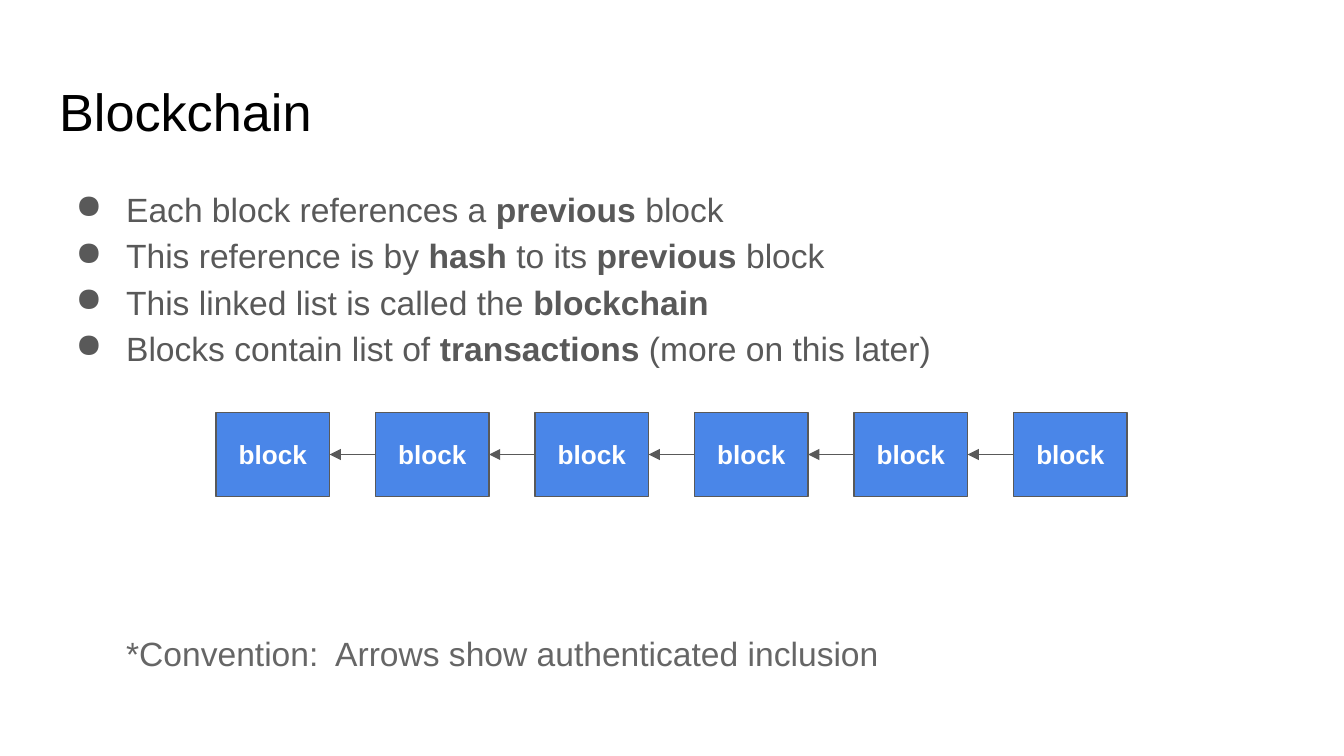
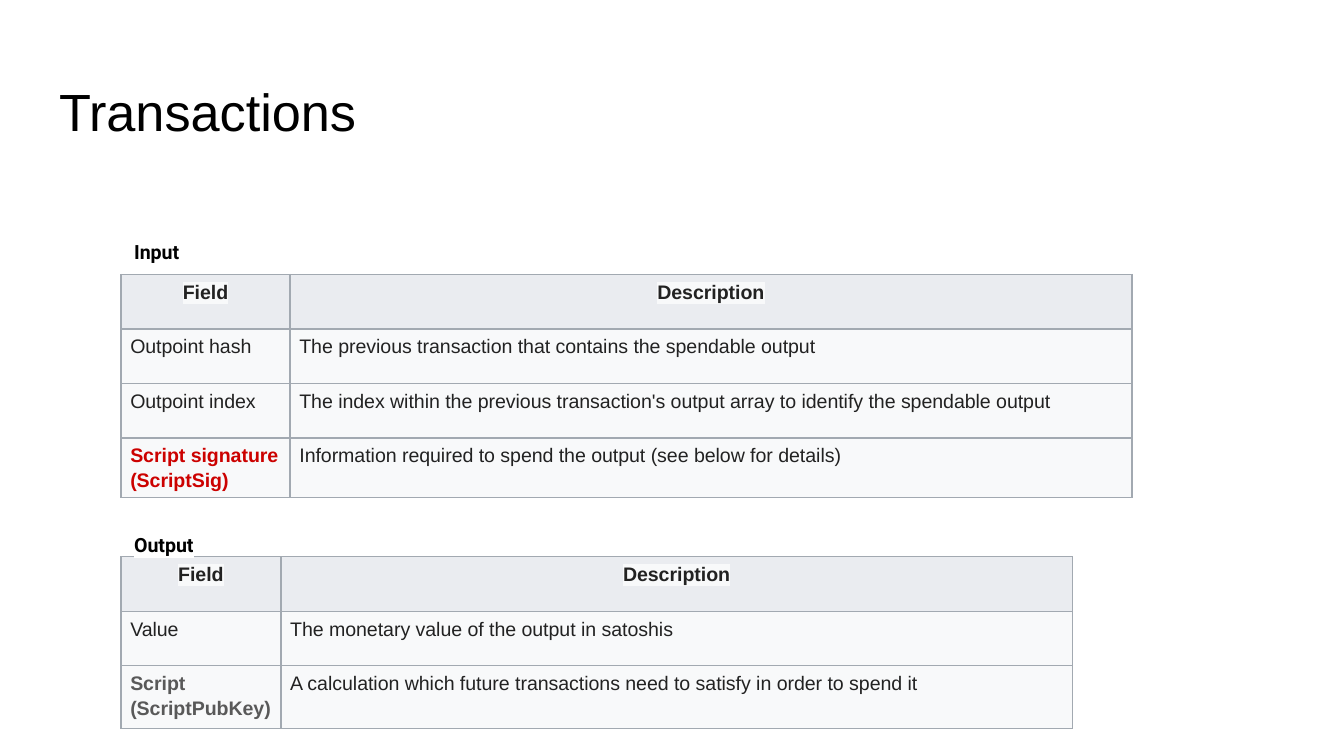
from itertools import pairwise

from pptx import Presentation
from pptx.dml.color import RGBColor
from pptx.enum.shapes import MSO_CONNECTOR, MSO_SHAPE
from pptx.enum.text import MSO_ANCHOR, MSO_AUTO_SIZE, PP_ALIGN
from pptx.oxml.ns import qn
from pptx.util import Pt
from lxml.etree import SubElement

BLACK = RGBColor(0x00, 0x00, 0x00)
WHITE = RGBColor(0xFF, 0xFF, 0xFF)
GRAY = RGBColor(0x59, 0x59, 0x59)
NOTE_GRAY = RGBColor(0x66, 0x66, 0x66)
BLOCK_BLUE = RGBColor(0x4A, 0x86, 0xE8)
CELL_TEXT = RGBColor(0x22, 0x22, 0x22)
CELL_FILL = RGBColor(0xF8, 0xF9, 0xFA)
HEADER_FILL = RGBColor(0xEA, 0xEC, 0xF0)
BORDER = RGBColor(0xA2, 0xA9, 0xB1)
RED = RGBColor(0xCC, 0x01, 0x00)

BODY_FONT = "Arial"
LABEL_FONT = "Roboto"
TEXT_LEFT, TEXT_WIDTH = 24.5, 671
TABLE_LEFT = 64.8
ROW_HEIGHT = 29.2
BLOCK_COUNT, BLOCK_LEFT, BLOCK_TOP = 6, 115.8, 221
BLOCK_WIDTH, BLOCK_HEIGHT, BLOCK_PITCH = 60.8, 45, 85.45

BULLETS = [
    "Each block references a **previous** block",
    "This reference is by **hash** to its **previous** block",
    "This linked list is called the **blockchain**",
    "Blocks contain list of **transactions** (more on this later)",
]
INPUT_ROWS = [
    ("Field", "Description"),
    ("Outpoint hash", "The previous transaction that contains the spendable output"),
    ("Outpoint index", "The index within the previous transaction's output array "
                       "to identify the spendable output"),
    ("**Script signature\n(ScriptSig)**",
     "Information required to spend the output (see below for details)"),
]
OUTPUT_ROWS = [
    ("Field", "Description"),
    ("Value", "The monetary value of the output in satoshis"),
    ("**Script\n(ScriptPubKey)**",
     "A calculation which future transactions need to satisfy in order to spend it"),
]


def add_color(parent, tag, color):
    """Append an element that holds one RGB colour."""
    SubElement(SubElement(parent, qn(tag)), qn("a:srgbClr"), val=str(color))


def write(paragraph, text, *, size, color, font=BODY_FONT, bold=False, highlight=None,
          align=PP_ALIGN.LEFT, spacing=1.0, before=0, after=0):
    """Fill a paragraph, with **marked** parts in bold and newlines as line breaks."""
    paragraph.alignment = align
    paragraph.line_spacing = spacing
    paragraph.space_before, paragraph.space_after = Pt(before), Pt(after)
    for part_number, part in enumerate(text.split("**")):
        for line_number, line in enumerate(part.split("\n")):
            if line_number:
                paragraph.add_line_break()
            if not line:
                continue
            run = paragraph.add_run()
            run.text = line
            run.font.size = Pt(size)
            run.font.bold = bold or part_number % 2 == 1
            run.font.color.rgb = color
            if highlight is not None:
                add_color(run.font._element, "a:highlight", highlight)
            run.font.name = font


def set_frame(frame, anchor=MSO_ANCHOR.TOP):
    """Give a text frame equal margins, wrapping and an anchor."""
    frame.margin_left = frame.margin_right = Pt(7.2)
    frame.margin_top = frame.margin_bottom = Pt(7.2)
    frame.word_wrap = True
    frame.auto_size = MSO_AUTO_SIZE.NONE
    frame.vertical_anchor = anchor


def add_titled_slide(presentation, title):
    """Add a title-only slide with its title in place."""
    slide = presentation.slides.add_slide(presentation.slide_layouts[5])
    shape = slide.shapes.title
    shape.left, shape.top = Pt(TEXT_LEFT), Pt(35)
    shape.width, shape.height = Pt(TEXT_WIDTH), Pt(45)
    set_frame(shape.text_frame)
    write(shape.text_frame.paragraphs[0], title, size=28, color=BLACK)
    return slide


def add_text_box(slide, left, top, width, height):
    """Add an empty text box and return its frame."""
    frame = slide.shapes.add_textbox(Pt(left), Pt(top), Pt(width), Pt(height)).text_frame
    set_frame(frame)
    return frame


def add_bullets(slide, bullets):
    """Add the bulleted list below the title."""
    frame = add_text_box(slide, TEXT_LEFT, 90.7, TEXT_WIDTH, 112)
    for number, text in enumerate(bullets):
        paragraph = frame.add_paragraph() if number else frame.paragraphs[0]
        write(paragraph, text, size=18, color=GRAY, spacing=1.15)
        properties = paragraph._p.get_or_add_pPr()
        properties.set("marL", str(Pt(36)))
        properties.set("indent", str(Pt(-27)))
        add_color(properties, "a:buClr", GRAY)
        SubElement(properties, qn("a:buChar"), char="●")


def add_block(slide, left):
    """Add one block of the chain."""
    shape = slide.shapes.add_shape(MSO_SHAPE.RECTANGLE, Pt(left), Pt(BLOCK_TOP),
                                   Pt(BLOCK_WIDTH), Pt(BLOCK_HEIGHT))
    shape.shadow.inherit = False
    shape.fill.solid()
    shape.fill.fore_color.rgb = BLOCK_BLUE
    shape.line.color.rgb = GRAY
    shape.line.width = Pt(0.75)
    set_frame(shape.text_frame, MSO_ANCHOR.MIDDLE)
    write(shape.text_frame.paragraphs[0], "block", size=14, color=WHITE, bold=True,
          align=PP_ALIGN.CENTER)
    return shape


def add_arrow(slide, block, previous):
    """Draw an arrow from a block to the previous one."""
    connector = slide.shapes.add_connector(MSO_CONNECTOR.STRAIGHT, 0, 0, 0, 0)
    connector.begin_connect(block, 1)
    connector.end_connect(previous, 3)
    connector.line.color.rgb = GRAY
    connector.line.width = Pt(0.75)
    SubElement(connector.line._get_or_add_ln(), qn("a:tailEnd"), type="triangle")
    SubElement(connector._element.spPr, qn("a:effectLst"))


def format_cell(cell, fill):
    """Set the borders, margins and fill of a table cell."""
    properties = cell._tc.get_or_add_tcPr()
    for side in "LRTB":
        line = SubElement(properties, qn(f"a:ln{side}"), w=str(Pt(0.75)))
        add_color(line, "a:solidFill", BORDER)
    cell.margin_left = cell.margin_right = Pt(5)
    cell.margin_top = cell.margin_bottom = Pt(2.2)
    cell.fill.solid()
    cell.fill.fore_color.rgb = fill


def add_field_table(slide, label, label_top, top, rows, widths, last_height, last_color):
    """Add a table of fields with its label above."""
    heights = [ROW_HEIGHT] * (len(rows) - 1) + [last_height]
    frame = slide.shapes.add_table(len(rows), len(widths), Pt(TABLE_LEFT), Pt(top),
                                   Pt(sum(widths)), Pt(sum(heights)))
    table = frame.table
    table.first_row = table.horz_banding = False
    for column, width in zip(table.columns, widths):
        column.width = Pt(width)
    for row_number, (texts, height) in enumerate(zip(rows, heights)):
        table.rows[row_number].height = Pt(height)
        header = row_number == 0
        for column_number, text in enumerate(texts):
            cell = table.cell(row_number, column_number)
            format_cell(cell, HEADER_FILL if header else CELL_FILL)
            write(cell.text_frame.paragraphs[0], text, size=10.5, bold=header,
                  color=last_color if text.startswith("**") else CELL_TEXT,
                  highlight=CELL_FILL, spacing=1.15, after=12,
                  align=PP_ALIGN.CENTER if header else PP_ALIGN.LEFT)
    label_frame = add_text_box(slide, TABLE_LEFT, label_top, 236, 27.4)
    write(label_frame.paragraphs[0], label, size=10.5, color=BLACK, font=LABEL_FONT,
          bold=True, highlight=WHITE, spacing=1.6, before=3)


def add_blockchain_slide(presentation):
    """Build the slide with the chain of blocks."""
    slide = add_titled_slide(presentation, "Blockchain")
    add_bullets(slide, BULLETS)
    note = add_text_box(slide, TEXT_LEFT + 36, 328.5, TEXT_WIDTH - 36, 40)
    write(note.paragraphs[0], "*Convention:  Arrows show authenticated inclusion",
          size=18, color=NOTE_GRAY, spacing=1.15)
    blocks = [add_block(slide, BLOCK_LEFT + number * BLOCK_PITCH)
              for number in range(BLOCK_COUNT)]
    for previous, block in pairwise(blocks):
        add_arrow(slide, block, previous)


def add_transactions_slide(presentation):
    """Build the slide with the input and output tables."""
    slide = add_titled_slide(presentation, "Transactions")
    add_field_table(slide, "Input", 113.6, 147, INPUT_ROWS, (90.6, 451), 32, RED)
    add_field_table(slide, "Output", 271, 298.2, OUTPUT_ROWS, (85.7, 424), 33.6, GRAY)


def main():
    """Build and save the presentation."""
    presentation = Presentation()
    presentation.slide_width, presentation.slide_height = Pt(720), Pt(405)
    add_blockchain_slide(presentation)
    add_transactions_slide(presentation)
    presentation.save("out.pptx")


if __name__ == "__main__":
    main()
